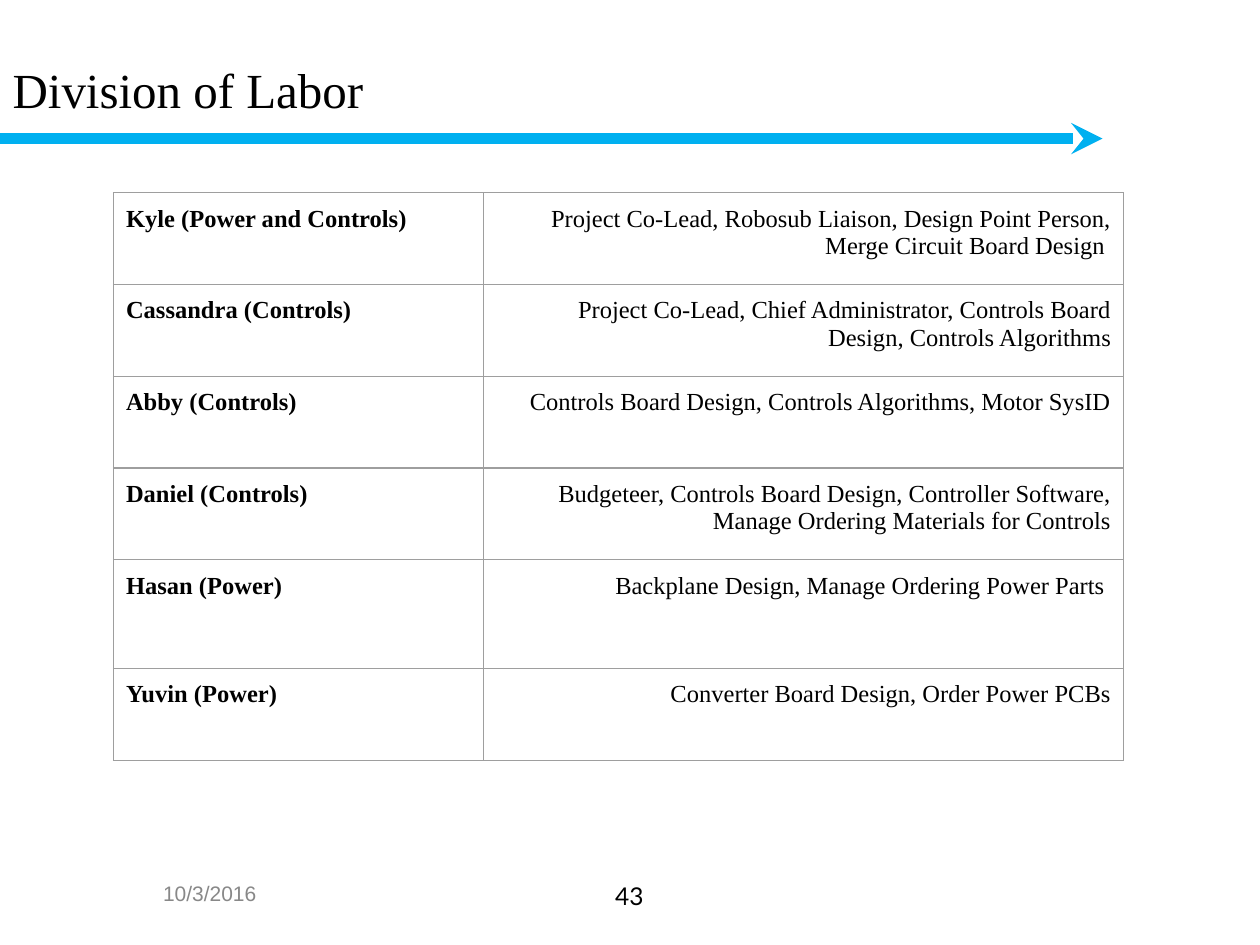
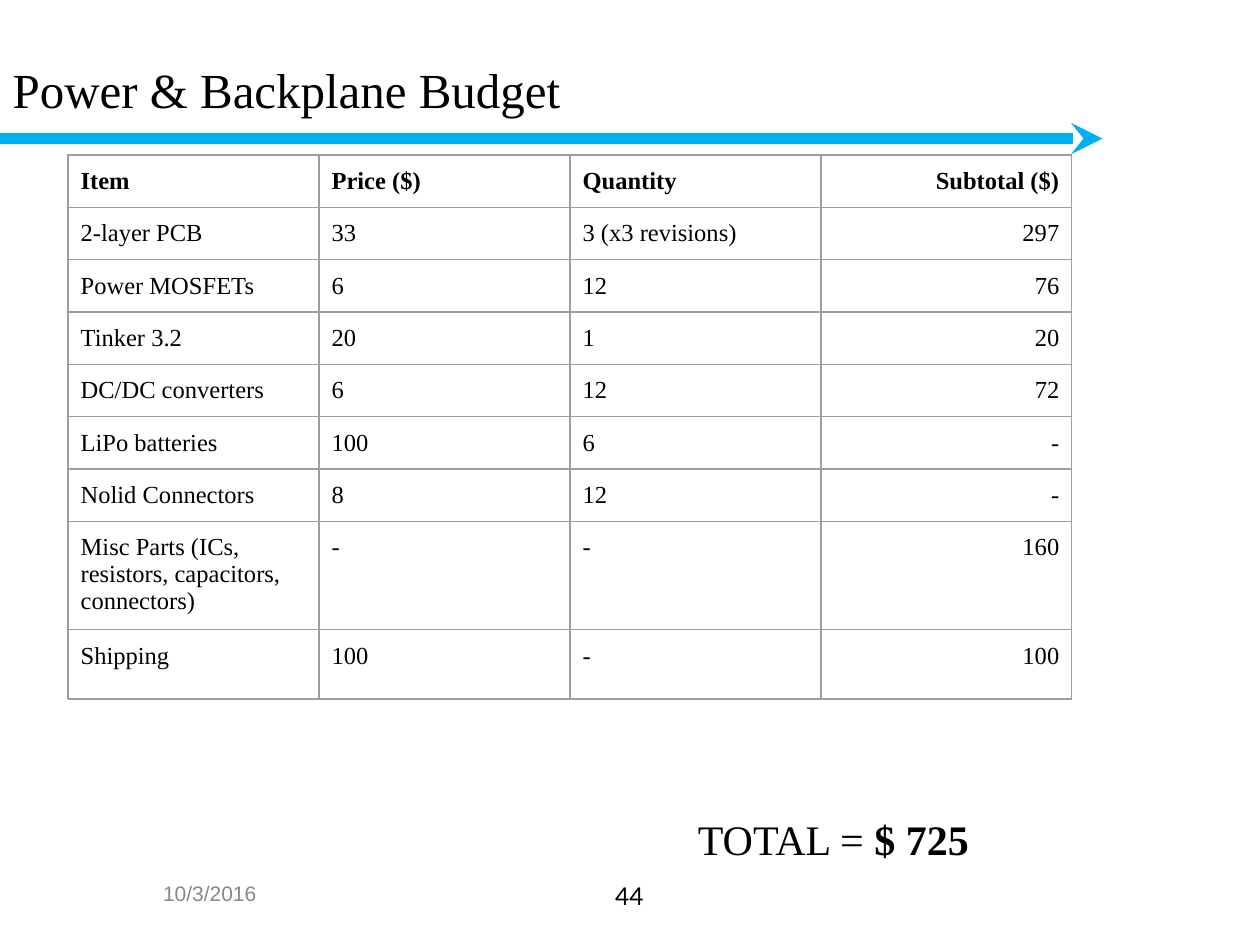
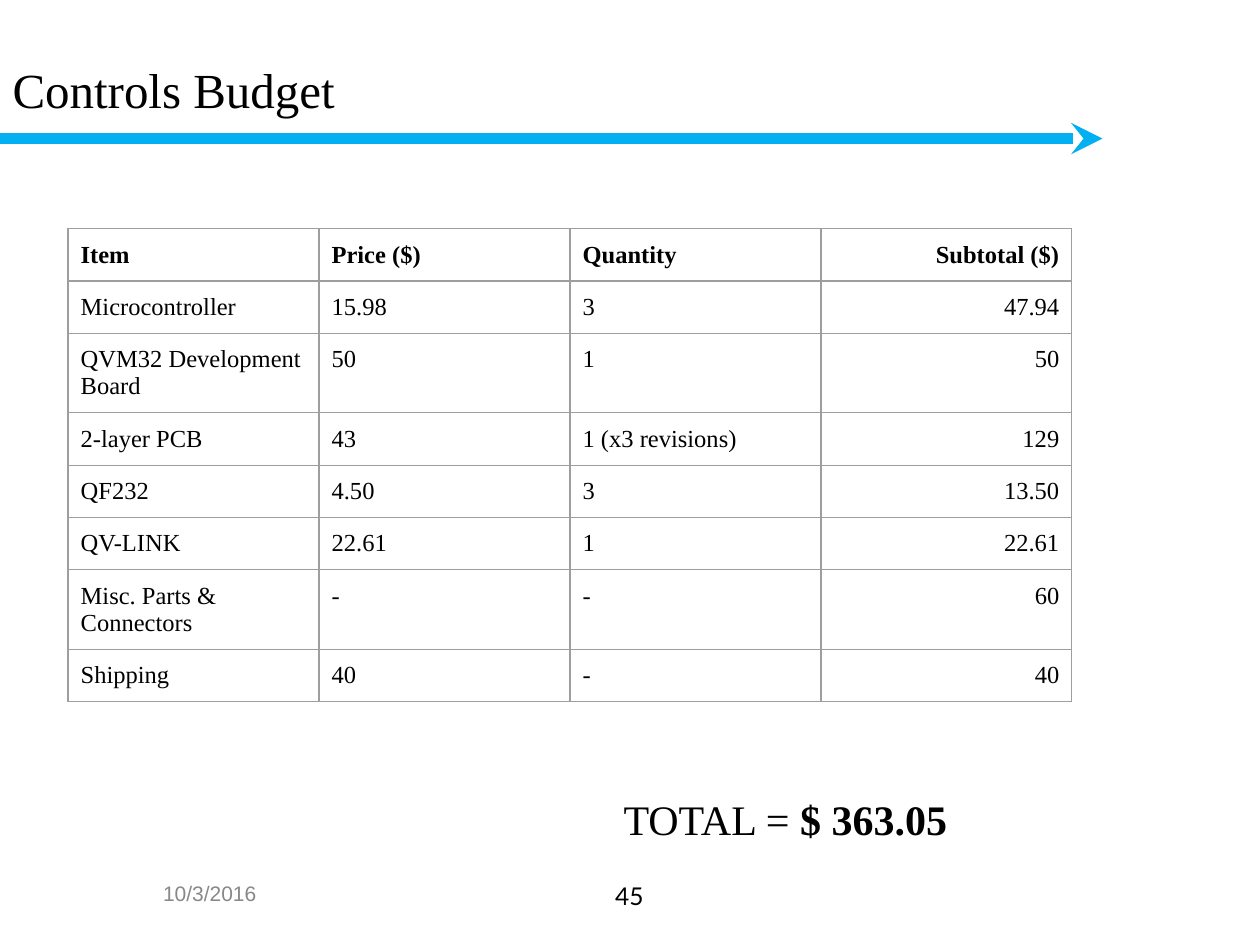
from dataclasses import dataclass

from lxml import etree
from pptx import Presentation
from pptx.dml.color import RGBColor
from pptx.enum.shapes import MSO_CONNECTOR
from pptx.enum.text import MSO_ANCHOR, MSO_AUTO_SIZE, PP_ALIGN
from pptx.oxml.ns import qn
from pptx.slide import Slide
from pptx.util import Inches, Pt

LEFT, MID, RIGHT = PP_ALIGN.LEFT, PP_ALIGN.CENTER, PP_ALIGN.RIGHT
TOP, CENTRE = MSO_ANCHOR.TOP, MSO_ANCHOR.MIDDLE
FIXED = MSO_AUTO_SIZE.NONE
STRAIGHT = MSO_CONNECTOR.STRAIGHT

WIDTH, HEIGHT = Inches(10), Inches(7.5)
COLS, ROWS = 100, 75  # slide grid
SERIF, SANS, LATO = "Times New Roman", "Arial", "Lato"
BLACK, GREY, RULE, BLUE = "000000", "888888", "9E9E9E", "00B0F0"
DATE = "10/3/2016"
FIRST = 43
PAD = 1


@dataclass
class Box:
    """An area in grid columns and rows."""
    x: float
    y: float
    w: float
    h: float

    def place(self) -> tuple[int, int, int, int]:
        return across(self.x), down(self.y), across(self.w), down(self.h)


@dataclass
class Style:
    size: float
    font: str = SERIF
    tint: str = BLACK
    bold: bool = False


@dataclass
class Grid:
    x: float
    y: float
    cols: list[float]
    rows: list[float]
    cells: list[tuple[str, ...]]
    head: bool = True  # bold first row, otherwise bold first column


@dataclass
class Page:
    title: str
    grid: Grid
    total: str = ""
    spot: Box | None = None


TITLE = Box(0, 0.8, 90, 12.5)
STAMP = Box(5, 68.3, 23.3, 5.2)
NUMBER = Box(38.3, 69.4, 23.3, 5.2)
HEADS = ("Item", "Price ($)", "Quantity", "Subtotal ($)")
QUARTERS = [19.92] * len(HEADS)
LINE, TALL = 4.15, 7.28

LABOR = [
    ("Kyle (Power and Controls)",
     "Project Co-Lead, Robosub Liaison, Design Point Person, Merge Circuit Board Design "),
    ("Cassandra (Controls)",
     "Project Co-Lead, Chief Administrator, Controls Board Design, Controls Algorithms"),
    ("Abby (Controls)", "Controls Board Design, Controls Algorithms, Motor SysID"),
    ("Daniel (Controls)",
     "Budgeteer, Controls Board Design, Controller Software, "
     "Manage Ordering Materials for Controls"),
    ("Hasan (Power)", "Backplane Design, Manage Ordering Power Parts "),
    ("Yuvin (Power)", "Converter Board Design, Order Power PCBs"),
]
POWER = [
    HEADS,
    ("2-layer PCB", "33", "3 (x3 revisions)", "297"),
    ("Power MOSFETs", "6", "12", "76"),
    ("Tinker 3.2", "20", "1", "20"),
    ("DC/DC converters", "6", "12", "72"),
    ("LiPo batteries", "100", "6", "-"),
    ("Nolid Connectors", "8", "12", "-"),
    ("Misc Parts (ICs, resistors, capacitors, connectors)", "-", "-", "160"),
    ("Shipping", "100", "-", "100"),
]
CONTROLS = [
    HEADS,
    ("Microcontroller", "15.98", "3", "47.94"),
    ("QVM32 Development Board", "50", "1", "50"),
    ("2-layer PCB", "43", "1 (x3 revisions)", "129"),
    ("QF232", "4.50", "3", "13.50"),
    ("QV-LINK", "22.61", "1", "22.61"),
    ("Misc. Parts & Connectors", "-", "-", "60"),
    ("Shipping", "40", "-", "40"),
]
PAGES = [
    Page("Division of Labor",
         Grid(9, 15.3, [29.4, 50.8], [TALL] * 4 + [8.64, TALL], LABOR, head=False)),
    Page("Power & Backplane Budget",
         Grid(5.4, 12.3, QUARTERS, [LINE] * 7 + [8.6, 5.5], POWER),
         "$ 725", Box(54.4, 63.6, 30.7, 5.8)),
    Page("Controls Budget",
         Grid(5.4, 18.15, QUARTERS, [LINE] * len(CONTROLS), CONTROLS),
         "$ 363.05", Box(48.5, 62, 36.9, 5.8)),
]


def across(n: float) -> int:
    return round(WIDTH * n / COLS)


def down(n: float) -> int:
    return round(HEIGHT * n / ROWS)


def color(code: str) -> RGBColor:
    return RGBColor.from_string(code)


def format_run(run, style: Style) -> None:
    font = run.font
    font.size, font.name, font.bold = Pt(style.size), style.font, style.bold
    font.color.rgb = color(style.tint)


def fill_text(frame, text: str, style: Style, align=LEFT, anchor=TOP) -> None:
    frame.text = text
    frame.word_wrap = True
    frame.auto_size = FIXED
    frame.vertical_anchor = anchor
    para = frame.paragraphs[0]
    para.alignment = align
    format_run(para.runs[0], style)


def add_text(slide: Slide, box: Box, text: str, style: Style, align=LEFT, anchor=TOP):
    frame = slide.shapes.add_textbox(*box.place()).text_frame
    fill_text(frame, text, style, align, anchor)
    return frame


def add_frame(slide: Slide, title: str, number: int) -> None:
    """Draw the title, arrow, page number and date."""
    head = slide.shapes.title
    head.left, head.top, head.width, head.height = TITLE.place()
    fill_text(head.text_frame, title, Style(28), anchor=CENTRE)

    arrow = slide.shapes.add_connector(STRAIGHT, 0, down(11), across(87.5), down(11))
    arrow.line.color.rgb = color(BLUE)
    arrow.line.width = Pt(6)
    props = arrow.element.spPr
    etree.SubElement(props.find(qn("a:ln")), qn("a:tailEnd"), type="stealth")
    etree.SubElement(props, qn("a:effectLst"))
    head.element.addprevious(arrow.element)

    add_text(slide, NUMBER, str(number), Style(14, LATO), MID)
    add_text(slide, STAMP, DATE, Style(12, SANS, GREY), MID, CENTRE)


def add_rules(cell) -> None:
    """Line all four sides of a cell."""
    props = cell._tc.get_or_add_tcPr()
    for side in ("a:lnL", "a:lnR", "a:lnT", "a:lnB"):
        line = etree.SubElement(props, qn(side), w=str(Pt(0.75)))
        fill = etree.SubElement(line, qn("a:solidFill"))
        etree.SubElement(fill, qn("a:srgbClr"), val=RULE)


def add_grid(slide: Slide, grid: Grid) -> None:
    box = Box(grid.x, grid.y, sum(grid.cols), sum(grid.rows))
    table = slide.shapes.add_table(len(grid.rows), len(grid.cols), *box.place()).table
    table.first_row = table.horz_banding = False
    for col, w in zip(table.columns, grid.cols):
        col.width = across(w)
    for row, h in zip(table.rows, grid.rows):
        row.height = down(h)
    for r, texts in enumerate(grid.cells):
        for c, text in enumerate(texts):
            cell = table.cell(r, c)
            cell.margin_left = cell.margin_right = across(PAD)
            cell.margin_top = cell.margin_bottom = down(PAD)
            add_rules(cell)
            cell.fill.background()
            cell.text = text
            para = cell.text_frame.paragraphs[0]
            para.alignment = RIGHT if c == len(texts) - 1 else LEFT
            bold = (r if grid.head else c) == 0
            format_run(para.runs[0], Style(14, bold=bold))


def add_total(slide: Slide, box: Box, total: str) -> None:
    frame = add_text(slide, box, "TOTAL = ", Style(24))
    frame.margin_top = frame.margin_bottom = down(PAD)
    run = frame.paragraphs[0].add_run()
    run.text = total
    format_run(run, Style(24, bold=True))


def main() -> None:
    deck = Presentation()
    deck.slide_width, deck.slide_height = WIDTH, HEIGHT
    layout = deck.slide_layouts.get_by_name("Title Only")
    for number, page in enumerate(PAGES, FIRST):
        slide = deck.slides.add_slide(layout)
        add_frame(slide, page.title, number)
        add_grid(slide, page.grid)
        if page.spot:
            add_total(slide, page.spot, page.total)
    deck.save("out.pptx")


if __name__ == "__main__":
    main()
